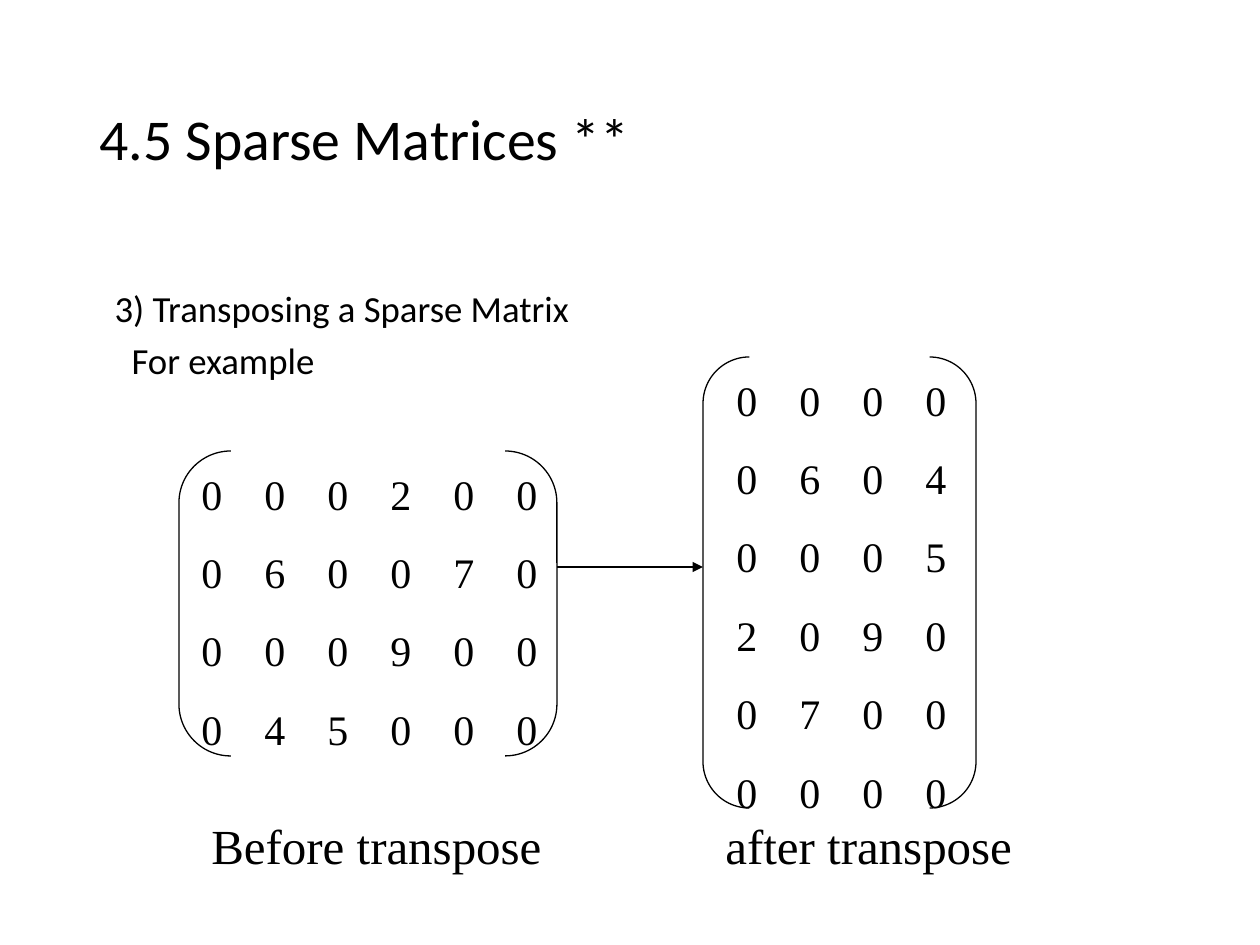
from lxml import etree
from pptx import Presentation
from pptx.dml.color import RGBColor
from pptx.enum.shapes import MSO_CONNECTOR, MSO_SHAPE
from pptx.enum.text import MSO_ANCHOR, MSO_AUTO_SIZE, PP_ALIGN
from pptx.oxml.ns import qn
from pptx.util import Pt

EMU_PER_PX = 914400 / 126
STRAIGHT = MSO_CONNECTOR.STRAIGHT
BRACKETS = MSO_SHAPE.DOUBLE_BRACKET
TOP, MIDDLE = MSO_ANCHOR.TOP, MSO_ANCHOR.MIDDLE
NO_AUTOFIT = MSO_AUTO_SIZE.NONE
LEFT = PP_ALIGN.LEFT

SANS, SERIF = "Calibri", "Times New Roman"
BLACK = "000000"
COLUMN_PITCH = 63
BEFORE = ["000200", "060070", "000900", "045000"]
AFTER = ["".join(column) for column in zip(*BEFORE)]


def px(n):
    """Turn pixels into EMU."""
    return int(n * EMU_PER_PX)


def color(hex_code):
    """Return an RGB colour from a hex string."""
    return RGBColor.from_string(hex_code)


def add_run(p, text, font, size):
    """Add one black run to a paragraph."""
    r = p.add_run()
    r.text = text
    r.font.name, r.font.size = font, Pt(size)
    r.font.color.rgb = color(BLACK)


def add_tabs(p, stops):
    """Give a paragraph left tab stops at pixel distances."""
    tabs = etree.SubElement(p._p.get_or_add_pPr(), qn("a:tabLst"))
    for stop in stops:
        etree.SubElement(tabs, qn("a:tab"), pos=str(px(stop)), algn="l")


def fill_placeholder(sp, box, lines, size, anchor):
    """Place a placeholder and write its unbulleted (indent, text) lines."""
    sp.left, sp.top, sp.width, sp.height = map(px, box)
    tf = sp.text_frame
    tf.auto_size, tf.vertical_anchor, tf.word_wrap = NO_AUTOFIT, anchor, True
    for i, (indent, text) in enumerate(lines):
        p = tf.add_paragraph() if i else tf.paragraphs[0]
        pPr = p._p.get_or_add_pPr()
        pPr.set("marL", str(px(indent)))
        pPr.set("indent", "0")
        etree.SubElement(pPr, qn("a:buNone"))
        p.alignment, p.line_spacing = LEFT, 0.9
        p.space_before = Pt(7.5 if i else 0)
        add_run(p, text, SANS, size)


def add_tabbed_text(s, box, rows, stops, size):
    """Add a text box whose rows are cells set on tab stops."""
    tf = s.shapes.add_textbox(*map(px, box)).text_frame
    tf.word_wrap = True
    for i, cells in enumerate(rows):
        p = tf.add_paragraph() if i else tf.paragraphs[0]
        add_tabs(p, stops)
        p.space_before = Pt(16 if i else 0)
        add_run(p, "\t".join(cells), SERIF, size)


def add_matrix(s, bracket_box, text_box, rows):
    """Add a matrix of digits inside a pair of round brackets."""
    stops = [COLUMN_PITCH * i for i in range(1, len(rows[0]))]
    add_tabbed_text(s, text_box, rows, stops, 24)
    sp = s.shapes.add_shape(BRACKETS, *map(px, bracket_box))
    sp.adjustments[0] = 0.17
    sp.shadow.inherit = False
    sp.fill.background()
    sp.line.color.rgb, sp.line.width = color(BLACK), Pt(0.75)


def add_arrow(s, x1, x2, y):
    """Add a horizontal arrow pointing at x2."""
    line = s.shapes.add_connector(STRAIGHT, px(x1), px(y), px(x2), px(y))
    line.line.color.rgb, line.line.width = color(BLACK), Pt(0.75)
    etree.SubElement(line.line._get_or_add_ln(), qn("a:tailEnd"), type="triangle")
    etree.SubElement(line._element.spPr, qn("a:effectLst"))


def main():
    """Build the sparse matrix transpose slide."""
    prs = Presentation()
    prs.slide_width, prs.slide_height = px(1260), px(945)
    s = prs.slides.add_slide(prs.slide_layouts[1])
    title, body = s.placeholders
    fill_placeholder(title, (87, 50, 1087, 183),
                     [(0, "4.5 Sparse Matrices **")], 33, MIDDLE)
    fill_placeholder(body, (94, 284, 1071, 630),
                     [(8, "3) Transposing a Sparse Matrix"),
                      (25, "For example")], 21, TOP)
    add_matrix(s, (179, 451, 378, 305), (189, 462, 368, 294), BEFORE)
    add_matrix(s, (703, 357, 273, 451), (724, 368, 368, 446), AFTER)
    add_arrow(s, 557, 703, 567)
    add_tabbed_text(s, (199, 809, 882, 72),
                    [("Before transpose", "after transpose")], [514], 28)
    prs.save("out.pptx")


if __name__ == "__main__":
    main()
